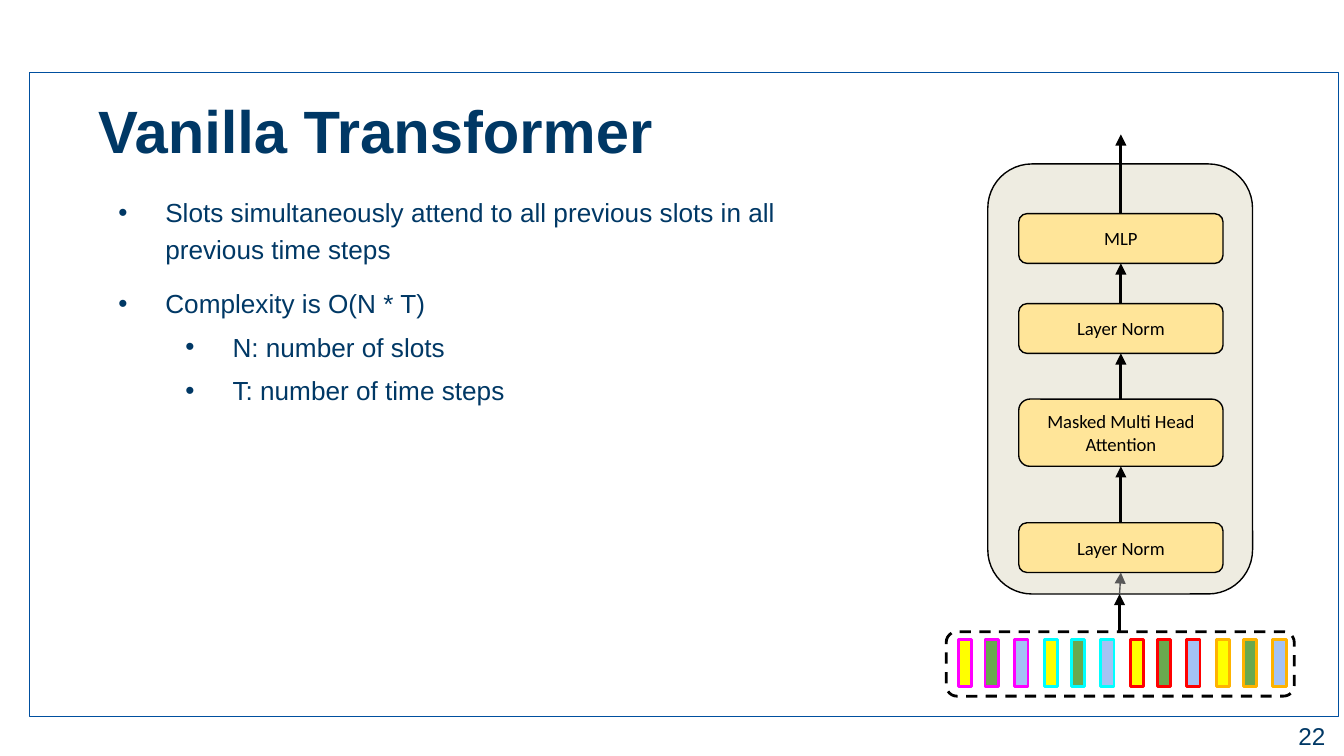
from lxml import etree
from pptx import Presentation
from pptx.dml.color import RGBColor
from pptx.enum.dml import MSO_LINE
from pptx.enum.shapes import MSO_CONNECTOR, MSO_SHAPE
from pptx.enum.text import MSO_ANCHOR, MSO_AUTO_SIZE, PP_ALIGN
from pptx.oxml.ns import qn
from pptx.util import Inches, Pt

RECT, ROUND = MSO_SHAPE.RECTANGLE, MSO_SHAPE.ROUNDED_RECTANGLE
STRAIGHT, DASH = MSO_CONNECTOR.STRAIGHT, MSO_LINE.DASH
TOP, MIDDLE = MSO_ANCHOR.TOP, MSO_ANCHOR.MIDDLE
LEFT, CENTER, RIGHT = PP_ALIGN.LEFT, PP_ALIGN.CENTER, PP_ALIGN.RIGHT

NAVY = RGBColor(0x00, 0x38, 0x65)
FRAME_BLUE = RGBColor(0x00, 0x4F, 0x9F)
BLACK = RGBColor(0, 0, 0)
GREY = RGBColor(0x59, 0x59, 0x59)
BEIGE = RGBColor(0xEE, 0xEC, 0xE1)
CREAM = RGBColor(0xFF, 0xE5, 0x99)
SLOT_FILLS = (RGBColor(0xFF, 0xFF, 0x00), RGBColor(0x6A, 0xA8, 0x4F),
              RGBColor(0xA4, 0xC2, 0xF4))
STEP_LINES = (RGBColor(0xFF, 0x00, 0xFF), RGBColor(0x00, 0xFF, 0xFF),
              RGBColor(0xFF, 0x00, 0x00), RGBColor(0xFF, 0xB3, 0x00))

# Widescreen slide, 16:9
prs = Presentation()
prs.slide_width = Inches(10)
prs.slide_height = prs.slide_width * 9 // 16
s = prs.slides.add_slide(prs.slide_layouts[1])


def add_text(sp, text, size=14, font="Arial", color=NAVY, bold=False, align=LEFT,
             anchor=TOP, inset=(0.1, 0.05), spacing=1.0, before=0, level=0,
             bullet=False, new=False):
    """Write one paragraph into a shape; new=True appends it."""
    tf = sp.text_frame
    tf.word_wrap, tf.auto_size, tf.vertical_anchor = True, MSO_AUTO_SIZE.NONE, anchor
    tf.margin_left = tf.margin_right = Inches(inset[0])
    tf.margin_top = tf.margin_bottom = Inches(inset[1])
    p = tf.add_paragraph() if new else tf.paragraphs[0]
    p.alignment, p.level, p.line_spacing = align, level, spacing
    p.space_before, p.space_after = Pt(before), Pt(0)
    if bullet:
        pPr = p._p.get_or_add_pPr()
        pPr.set("marL", str(Inches(0.5 * (level + 1))))
        pPr.set("indent", str(Inches(-0.35)))
        etree.SubElement(pPr, qn("a:buFont"), typeface="Arial")
        etree.SubElement(pPr, qn("a:buChar"), char="•")
    r = p.add_run()
    r.text = text
    r.font.size, r.font.name, r.font.bold = Pt(size), font, bold
    r.font.color.rgb = color


def add_box(kind, x, y, w, h, fill=None, line=BLACK, width=0.75):
    sp = s.shapes.add_shape(kind, Inches(x), Inches(y), Inches(w), Inches(h))
    sp.shadow.inherit = False
    if fill is None:
        sp.fill.background()
    else:
        sp.fill.solid()
        sp.fill.fore_color.rgb = fill
    sp.line.color.rgb, sp.line.width = line, Pt(width)
    return sp


# Frame
add_box(RECT, 0.22, 0.54, 9.74, 4.79, line=FRAME_BLUE)

# Title
title, body = s.shapes.title, s.placeholders[1]
title.left, title.top, title.width, title.height = map(Inches, (0.63, 0.57, 9.1, 0.67))
add_text(title, "Vanilla Transformer", size=32, bold=True, spacing=1.15)

# Bullet list
body.left, body.top, body.width, body.height = map(Inches, (0.63, 1.38, 5.99, 3.05))
bullets = (
    ("Slots simultaneously attend to all previous slots in all previous time steps", 0, 0),
    ("Complexity is O(N * T)", 0, 10),
    ("N: number of slots", 1, 4),
    ("T: number of time steps", 1, 4),
)
for i, (text, level, before) in enumerate(bullets):
    add_text(body, text, level=level, before=before, spacing=1.15, bullet=True, new=i > 0)

# Transformer block and its layers
add_box(ROUND, 7.35, 1.22, 1.97, 3.2, BEIGE)
layers = (("MLP", 1.59, 0.37), ("Layer Norm", 2.26, 0.37),
          ("Masked Multi Head Attention", 2.97, 0.5), ("Layer Norm", 3.89, 0.37))
for text, y, h in layers:
    sp = add_box(ROUND, 7.58, y, 1.52, h, CREAM)
    add_text(sp, text, size=10, font="Calibri", color=BLACK, align=CENTER,
             anchor=MIDDLE, inset=(0.02, 0.1))

# Input slots: three per time step
sp = add_box(ROUND, 7.04, 4.7, 2.59, 0.48, width=1.5)
sp.line.dash_style = DASH
for step, line in enumerate(STEP_LINES):
    for offset, fill in zip((0, 0.2, 0.42), SLOT_FILLS):
        add_box(RECT, 7.13 + 0.64 * step + offset, 4.76, 0.1, 0.35, fill, line, 1.5)

# Upward arrows: from each layer to the one above, then into the block
arrows = [(8.34, y, 8.34, end, BLACK, 1.5)
          for (_, y, _), end in zip(layers, [1] + [y + h for _, y, h in layers])]
arrows += [(8.33, 4.7, 8.33, 4.42, BLACK, 1.5), (8.33, 4.42, 8.34, 4.26, GREY, 0.75)]
for x1, y1, x2, y2, color, width in arrows:
    cn = s.shapes.add_connector(STRAIGHT, *map(Inches, (x1, y1, x2, y2)))
    cn.line.color.rgb, cn.line.width = color, Pt(width)
    etree.SubElement(cn.line._get_or_add_ln(), qn("a:tailEnd"), type="triangle")
    etree.SubElement(cn._element.spPr, qn("a:effectLst"))

# Slide number
sp = s.shapes.add_textbox(*map(Inches, (9.36, 5.27, 0.6, 0.43)))
add_text(sp, "22", size=13, align=RIGHT, inset=(0.1, 0.1))

prs.save("out.pptx")
